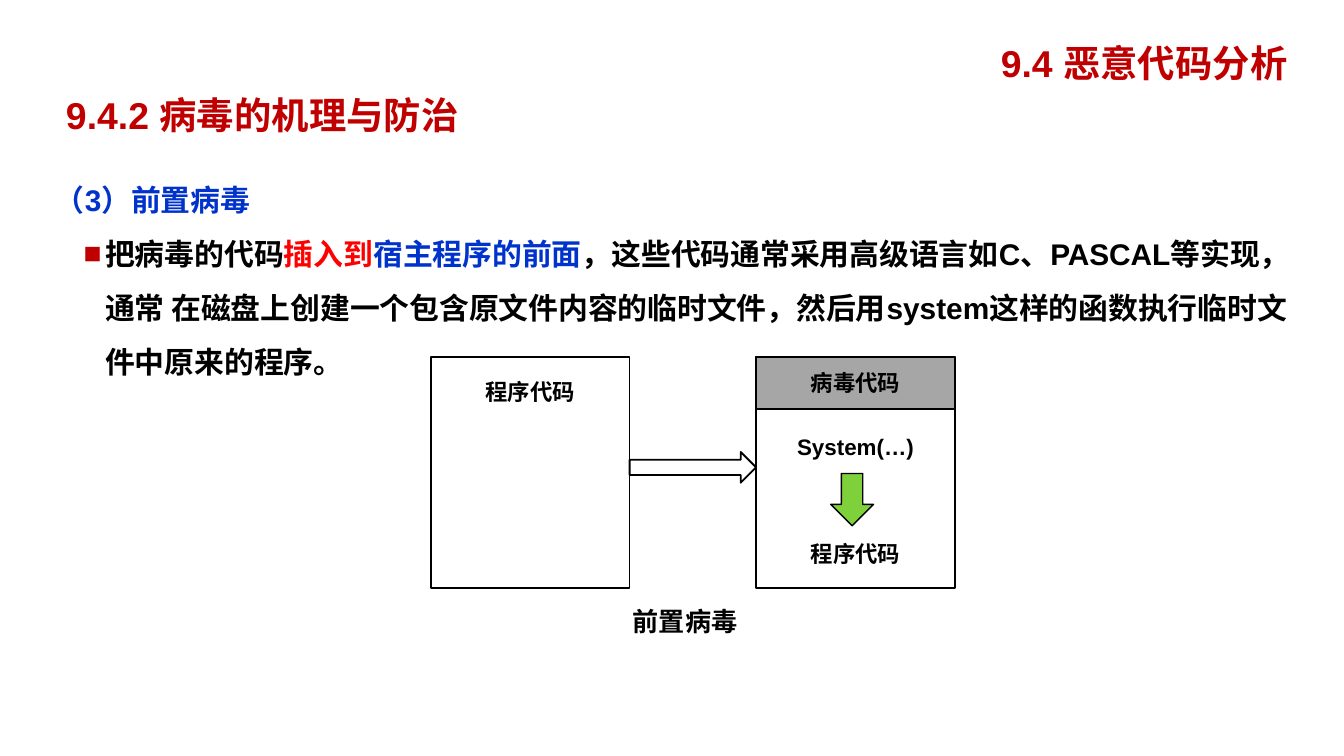
import pptx
import pptx.dml.color
import pptx.enum.shapes
import pptx.enum.text
import pptx.oxml
import pptx.util
from pptx.util import Cm, Pt

SHAPES = pptx.enum.shapes.MSO_SHAPE
ALIGN = pptx.enum.text.PP_ALIGN
ANCHOR = pptx.enum.text.MSO_ANCHOR
FONT = "Arial"
COLORS = {"title": "C00000", "blue": "0033CC", "red": "FF0000", "black": "000000",
          "white": "FFFFFF", "gray": "A6A6A6", "green": "7FD13B"}

# Content: text runs are (text, colour)
TITLES = [  # text, left, top, width, height
    ("9.4 恶意代码分析", 18.26, 0.41, 6.73, 1.55),
    ("9.4.2 病毒的机理与防治", 0.59, 1.58, 8.74, 1.19),
]
HEADING = [("（3）前置病毒", "blue")]
EXPLANATION = [
    ("把病毒的代码", "black"),
    ("插入到", "red"),
    ("宿主程序的前面", "blue"),
    ("，这些代码通常采用高级语言如C、PASCAL等实现，通常 在磁盘上创建一个包含原文件内容的"
     "临时文件，然后用system这样的函数执行临时文件中原来的程序。", "black"),
]
HOST_LINES = ["程序代码"]
INFECTED_LINES = ["System(…)", "程序代码"]
VIRUS_LINES = ["病毒代码"]
CAPTION = "前置病毒"

# Diagram geometry in cm
BOX_LEFT, BOX_TOP, BOX_WIDTH, BOX_HEIGHT = 8.14, 6.75, 3.76, 4.37
GAP = 2.39
VIRUS_HEIGHT = 0.98
ARROW_HEIGHT = 0.58
INFECTED_LEFT = BOX_LEFT + BOX_WIDTH + GAP


def color(name):
    return pptx.dml.color.RGBColor.from_string(COLORS[name])


def add_runs(para, runs, size):
    for text, shade in runs:
        span = para.add_run()
        span.text = text
        span.font.name = FONT
        span.font.size = Pt(size)
        span.font.bold = True
        span.font.color.rgb = color(shade)


def add_text(page, left, top, width, height, wrap=True):
    box = page.shapes.add_textbox(Cm(left), Cm(top), Cm(width), Cm(height))
    box.text_frame.word_wrap = wrap
    return box.text_frame


def add_shape(page, kind, left, top, width, height, fill, line=1):
    shape = page.shapes.add_shape(kind, Cm(left), Cm(top), Cm(width), Cm(height))
    shape.shadow.inherit = False
    shape.fill.solid()
    shape.fill.fore_color.rgb = color(fill)
    shape.line.color.rgb = color("black")
    shape.line.width = Pt(line)
    return shape


def add_block(page, left, height, fill, lines, inset=None, gap=0):
    """Draw a memory block; with an inset its lines start that far from the top."""
    block = add_shape(page, SHAPES.RECTANGLE, left, BOX_TOP, BOX_WIDTH, height, fill)
    frame = block.text_frame
    frame.word_wrap = False
    frame.vertical_anchor = ANCHOR.MIDDLE
    if inset is not None:
        frame.vertical_anchor = ANCHOR.TOP
        frame.margin_top = Cm(inset)
    for index, text in enumerate(lines):
        para = frame.add_paragraph() if index else frame.paragraphs[0]
        para.alignment = ALIGN.CENTER
        if index:
            para.space_before = Pt(gap)
        add_runs(para, [(text, "black")], 12)


def set_indent(para, margin, indent, bullet=None):
    properties = para._p.get_or_add_pPr()
    properties.set("marL", str(Cm(margin)))
    properties.set("indent", str(Cm(indent)))
    properties.set("hangingPunct", "0")
    if bullet:
        namespace = pptx.oxml.ns.nsdecls("a")
        for element in (
                f'<a:buClr {namespace}><a:srgbClr val="{COLORS["title"]}"/></a:buClr>',
                f'<a:buFont {namespace} typeface="{FONT}"/>',
                f'<a:buChar {namespace} char="{bullet}"/>'):
            properties.append(pptx.oxml.parse_xml(element))


def main():
    deck = pptx.Presentation()
    deck.slide_width, deck.slide_height = Cm(25.4), Cm(14.29)
    page = deck.slides.add_slide(deck.slide_layouts[6])

    # Body text
    frame = add_text(page, 0.79, 2.98, 24.2, 4.11)
    heading, explanation = frame.paragraphs[0], frame.add_paragraph()
    heading.line_spacing = explanation.line_spacing = 1.5
    set_indent(heading, 0.95, -0.95)
    set_indent(explanation, 0.95, -0.41, "■")
    add_runs(heading, HEADING, 16)
    add_runs(explanation, EXPLANATION, 16)

    # Titles
    for text, *place in TITLES:
        frame = add_text(page, *place)
        frame.vertical_anchor = ANCHOR.MIDDLE
        frame.paragraphs[0].alignment = ALIGN.CENTER
        add_runs(frame.paragraphs[0], [(text, "title")], 20)

    # Program before and after infection
    add_block(page, BOX_LEFT, BOX_HEIGHT, "white", HOST_LINES, inset=0.39)
    add_block(page, INFECTED_LEFT, BOX_HEIGHT, "white", INFECTED_LINES, inset=1.43, gap=43)
    add_block(page, INFECTED_LEFT, VIRUS_HEIGHT, "gray", VIRUS_LINES)

    # Arrows
    add_shape(page, SHAPES.RIGHT_ARROW, BOX_LEFT + BOX_WIDTH,
              BOX_TOP + (BOX_HEIGHT - ARROW_HEIGHT) / 2 - 0.1, GAP, ARROW_HEIGHT, "white")
    add_shape(page, SHAPES.DOWN_ARROW, 15.7, 8.95, 0.81, 0.99, "green", 0.75)

    # Caption
    frame = add_text(page, 11.71, 11.31, 3.38, 0.86)
    add_runs(frame.paragraphs[0], [(CAPTION, "black")], 14)

    deck.save("out.pptx")


if __name__ == "__main__":
    main()
